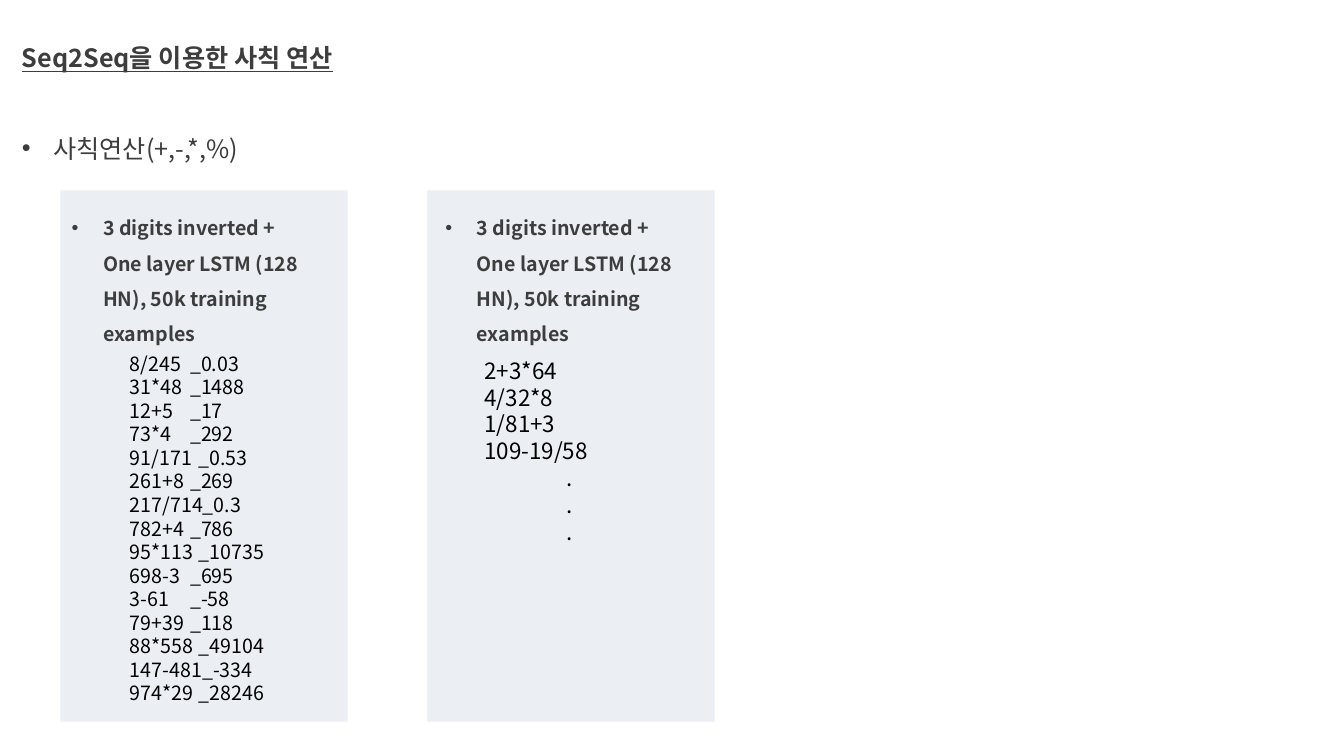
from dataclasses import dataclass

from lxml.etree import SubElement
from pptx import Presentation
from pptx.dml.color import RGBColor
from pptx.enum.shapes import MSO_SHAPE as Preset
from pptx.enum.text import MSO_AUTO_SIZE as AutoSize, PP_ALIGN as Align
from pptx.oxml.ns import qn
from pptx.slide import Slide
from pptx.util import Pt


@dataclass(frozen=True)
class Theme:
    font: str = "Noto Sans CJK KR"
    panel: RGBColor = RGBColor(0x84, 0x97, 0xB0)
    panel_alpha: int = 16
    heading: RGBColor = RGBColor(0x3D, 0x3D, 0x3D)
    body: RGBColor = RGBColor(0, 0, 0)
    title_size: int = 18
    caption_size: int = 14


@dataclass(frozen=True)
class Line:
    text: str
    size: float
    color: RGBColor
    bold: bool = False
    underline: bool = False
    spacing: float = 1.0
    before: float = 0
    level: int = 0
    indent: float = 0
    bullet: bool = False
    align: Align = Align.LEFT
    tabs: tuple[float, ...] = ()


@dataclass(frozen=True)
class Box:
    left: float
    top: float
    width: float
    height: float


@dataclass(frozen=True)
class Experiment:
    panel_left: float
    caption_left: float
    samples_box: Box
    samples: list[Line]


THEME = Theme()
HANGING = 22.5
RESULT_TABS = (43, 49)
CAPTION = "3 digits inverted + One layer LSTM (128 HN), 50k training examples"

SOLVED = (
    "8/245\t_0.03", "31*48\t_1488", "12+5\t_17", "73*4\t_292", "91/171\t_0.53",
    "261+8\t_269", "217/714_0.3", "782+4\t_786", "95*113\t_10735", "698-3\t_695",
    "3-61\t_-58", "79+39\t_118", "88*558\t_49104", "147-481_-334", "974*29\t_28246",
)
MIXED = ("2+3*64", "4/32*8", "1/81+3", "109-19/58")

EXPERIMENTS = (
    Experiment(43.2, 8, Box(85.7, 247.7, 125.3, 262),
               [Line(sample, 14, THEME.body, tabs=RESULT_TABS) for sample in SOLVED]),
    Experiment(305.3, 275, Box(339, 251.3, 135.4, 143.3),
               [Line(sample, 16, THEME.body) for sample in MIXED]
               + [Line(".", 16, THEME.body, align=Align.CENTER)] * 3),
)


def add_panel(slide: Slide, left: float) -> None:
    panel = slide.shapes.add_shape(Preset.RECTANGLE, Pt(left), Pt(136.1), Pt(205.2), Pt(379.4))
    panel.shadow.inherit = False
    panel.line.fill.background()
    panel.fill.solid()
    panel.fill.fore_color.rgb = THEME.panel
    color = panel.fill._xPr.find(qn("a:solidFill"))[0]
    SubElement(color, qn("a:alpha"), val=str(THEME.panel_alpha * 1000))


def add_text(slide: Slide, box: Box, lines: list[Line]) -> None:
    frame = slide.shapes.add_textbox(
        Pt(box.left), Pt(box.top), Pt(box.width), Pt(box.height)).text_frame
    frame.word_wrap = True
    frame.auto_size = AutoSize.SHAPE_TO_FIT_TEXT
    for number, line in enumerate(lines):
        paragraph = frame.paragraphs[0] if number == 0 else frame.add_paragraph()
        layout = {"alignment": line.align, "level": line.level,
                  "line_spacing": line.spacing, "space_before": Pt(line.before)}
        for key, value in layout.items():
            setattr(paragraph, key, value)
        properties = paragraph._p.get_or_add_pPr()
        if line.bullet:
            properties.set("marL", str(Pt(line.indent)))
            properties.set("indent", str(-Pt(HANGING)))
            SubElement(properties, qn("a:buFont"), typeface="Arial")
            SubElement(properties, qn("a:buChar"), char="•")
        if line.tabs:
            stops = SubElement(properties, qn("a:tabLst"))
            for position in line.tabs:
                SubElement(stops, qn("a:tab"), pos=str(Pt(position)), algn="l")
        run = paragraph.add_run()
        run.text = line.text
        style = {"name": THEME.font, "size": Pt(line.size), "bold": line.bold,
                 "underline": line.underline}
        for key, value in style.items():
            setattr(run.font, key, value)
        run.font.color.rgb = line.color
        SubElement(run._r.get_or_add_rPr(), qn("a:ea"), typeface=THEME.font)


def main() -> None:
    deck = Presentation()
    deck.slide_width, deck.slide_height = Pt(960), Pt(540)
    slide = deck.slides.add_slide(deck.slide_layouts[6])

    for experiment in EXPERIMENTS:
        add_panel(slide, experiment.panel_left)

    add_text(slide, Box(8.6, 15.8, 936, 102.2), [
        Line("Seq2Seq을 이용한 사칙 연산", THEME.title_size, THEME.heading,
             bold=True, underline=True, spacing=1.5),
        Line("사칙연산(+,-,*,%)", THEME.title_size, THEME.heading,
             spacing=1.5, before=32.5, indent=HANGING, bullet=True),
    ])

    caption = Line(CAPTION, THEME.caption_size, THEME.heading, bold=True,
                   spacing=1.5, level=1, indent=58.5, bullet=True)
    for experiment in EXPERIMENTS:
        add_text(slide, experiment.samples_box, experiment.samples)
        add_text(slide, Box(experiment.caption_left, 142.6, 226, 81.4), [caption])

    deck.save("out.pptx")


if __name__ == "__main__":
    main()
